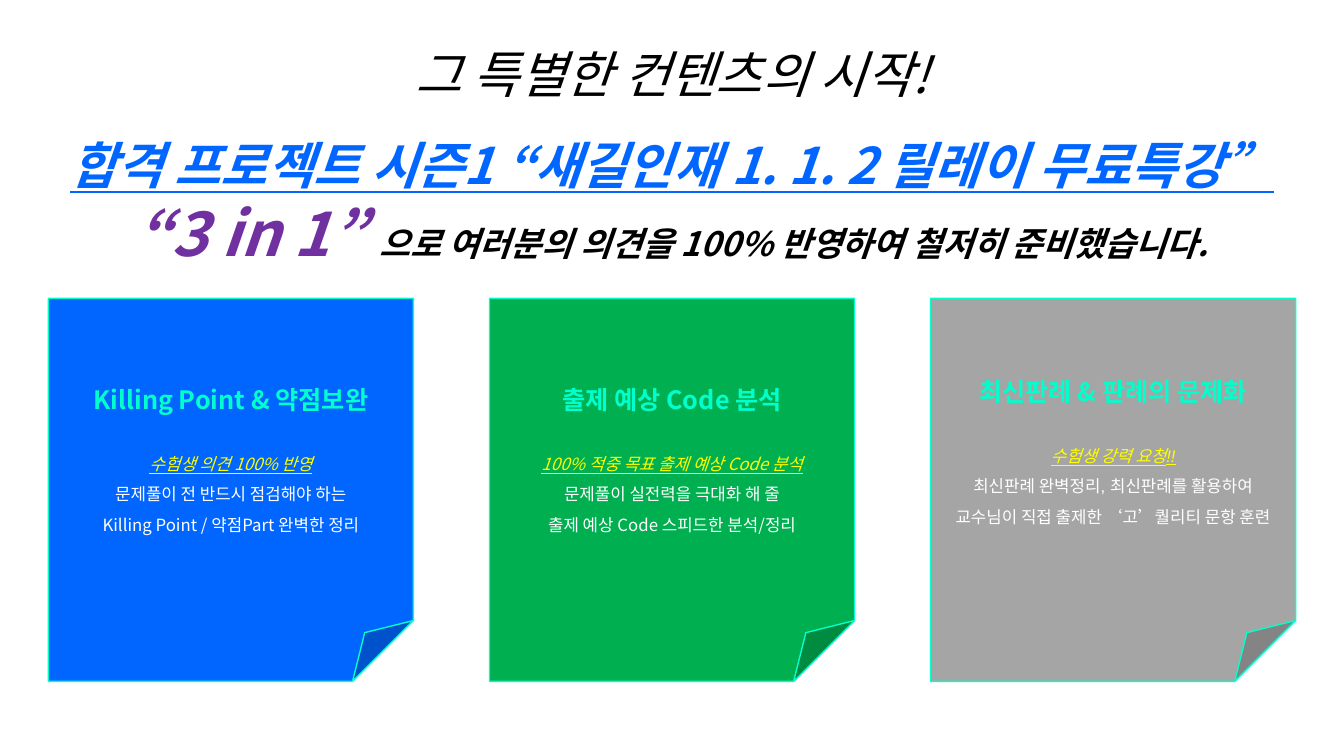
"""Build the slide announcing a free relay lecture with three folded note cards."""
import lxml.etree
import pptx
import pptx.util
import pptx.dml.color
import pptx.enum.shapes
import pptx.enum.text
import pptx.oxml.ns

COLORS = {
    "black": "000000",
    "white": "FFFFFF",
    "blue": "0066FF",
    "purple": "7030A0",
    "green": "00B050",
    "gray": "A5A5A5",
    "mint": "00FFCC",
    "yellow": "FFFF00",
}
FONT = "Noto Sans CJK KR"
Inches = pptx.util.Inches
Pt = pptx.util.Pt


def rgb(name):
    return pptx.dml.color.RGBColor.from_string(COLORS[name])


def format_run(run, size, color, bold=False, italic=False, underline=False, font=FONT):
    run.font.size = Pt(size)
    run.font.bold = bold
    run.font.italic = italic
    run.font.underline = underline
    run.font.color.rgb = rgb(color)
    run.font.name = font
    properties = run._r.get_or_add_rPr()
    lxml.etree.SubElement(properties, pptx.oxml.ns.qn("a:ea"), typeface=FONT)


presentation = pptx.Presentation()
presentation.slide_width = Inches(13.33)
presentation.slide_height = Inches(7.5)
slide = presentation.slides.add_slide(presentation.slide_layouts[5])

title = slide.shapes.title
title.left, title.top = Inches(0), Inches(0.08)
title.width, title.height = presentation.slide_width, Inches(2.66)
title_frame = title.text_frame
title_frame.word_wrap = True
title_frame.auto_size = pptx.enum.text.MSO_AUTO_SIZE.NONE
title_frame.vertical_anchor = pptx.enum.text.MSO_ANCHOR.TOP

title_lines = [
    (1.5, [("그 특별한 컨텐츠의 시작!", 36, "black", False, False)]),
    (1.5, [("합격 프로젝트 시즌1 “새길인재 1. 1. 2 릴레이 무료특강”", 36, "blue", True, True)]),
    (1.0, [("“3 in 1” ", 44, "purple", True, False),
           ("으로 여러분의 의견을 100% 반영하여 철저히 준비했습니다.", 24, "black", True, False)]),
]
title_frame.text = "\n".join("" for line in title_lines)
for paragraph, (spacing, pieces) in zip(title_frame.paragraphs, title_lines):
    paragraph.alignment = pptx.enum.text.PP_ALIGN.CENTER
    paragraph.line_spacing = spacing
    for text, size, color, bold, underline in pieces:
        run = paragraph.add_run()
        run.text = text
        format_run(run, size, color, bold, True, underline)

cards = [
    ("blue", FONT, 0.05, ["Killing Point & 약점보완", "수험생 의견 100% 반영",
                          "문제풀이 전 반드시 점검해야 하는", "Killing Point / 약점Part 완벽한 정리"]),
    ("green", FONT, 0.05, ["출제 예상 Code 분석", "100% 적중 목표 출제 예상 Code 분석",
                           "문제풀이 실전력을 극대화 해 줄", "출제 예상 Code 스피드한 분석/정리"]),
    ("gray", "Arial", 0.21, ["최신판례 & 판례의 문제화", "수험생 강력 요청!!",
                             "최신판례 완벽정리, 최신판례를 활용하여", "교수님이 직접 출제한 ‘고’퀄리티 문항 훈련"]),
]
margin = Inches(0.48)
card_width, card_height = Inches(3.62), Inches(3.8)
card_step = (presentation.slide_width - 2 * margin - card_width) // (len(cards) - 1)

for column, (fill, body_font, bottom_inset, lines) in enumerate(cards):
    card = slide.shapes.add_shape(
        pptx.enum.shapes.MSO_SHAPE.FOLDED_CORNER,
        margin + column * card_step, Inches(2.96), card_width, card_height)
    card.shadow.inherit = False
    card.fill.solid()
    card.fill.fore_color.rgb = rgb(fill)
    card.line.color.rgb = rgb("mint")
    card.line.width = Pt(1)
    frame = card.text_frame
    frame.word_wrap = True
    frame.vertical_anchor = pptx.enum.text.MSO_ANCHOR.MIDDLE
    frame.margin_bottom = Inches(bottom_inset)
    frame.text = "\n".join(lines)
    for row, paragraph in enumerate(frame.paragraphs):
        paragraph.alignment = pptx.enum.text.PP_ALIGN.CENTER
        run = paragraph.runs[0]
        if row == 0:
            paragraph.space_after = Pt(21)
            format_run(run, 18, "mint", bold=True)
        else:
            paragraph.line_spacing = 1.5
            is_lead = row == 1
            format_run(run, 12, "yellow" if is_lead else "white",
                       italic=is_lead, underline=is_lead, font=body_font)

presentation.save("out.pptx")
